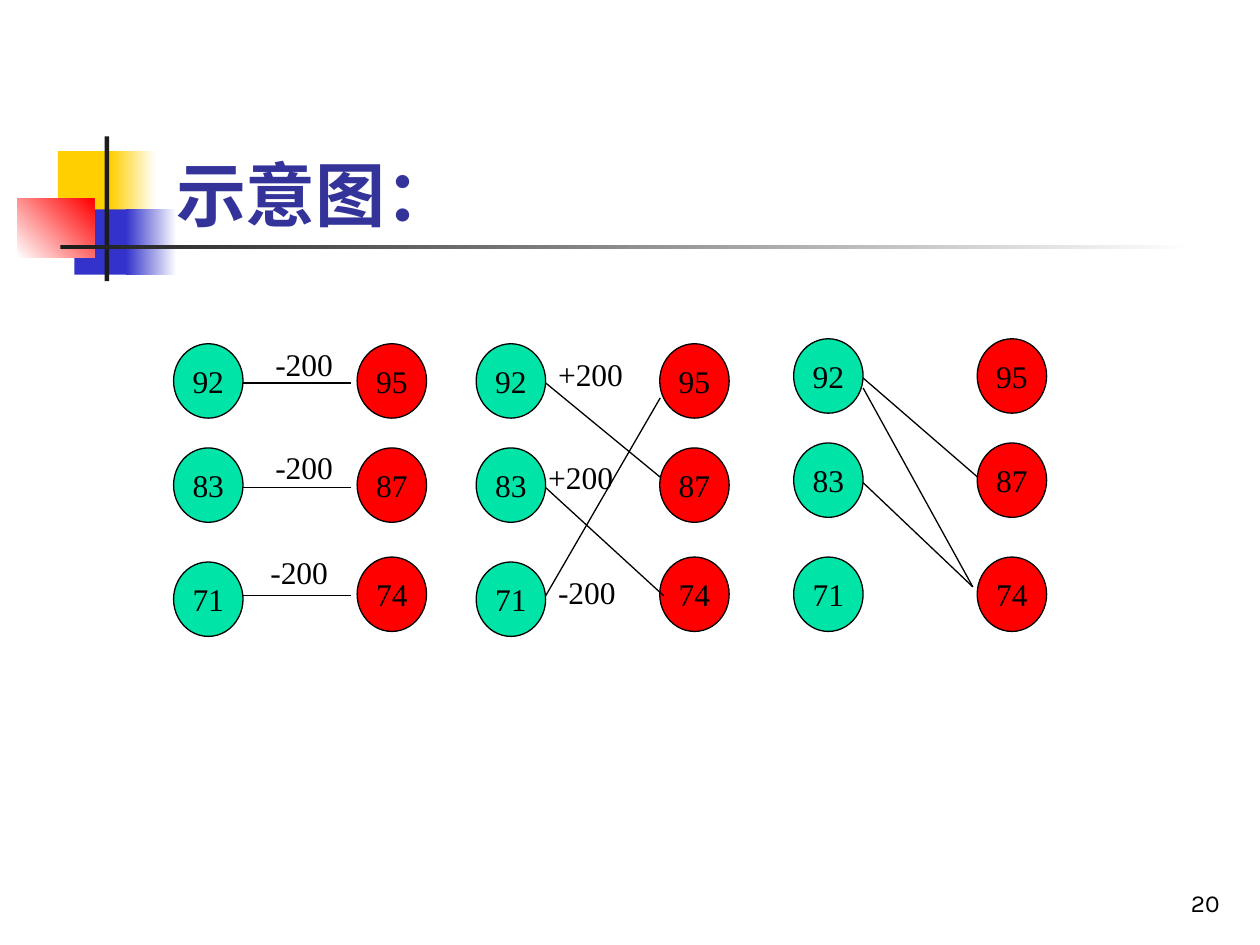
from dataclasses import dataclass

from lxml import etree
from pptx import Presentation
from pptx.dml.color import RGBColor
from pptx.enum.shapes import MSO_CONNECTOR, MSO_SHAPE
from pptx.enum.text import MSO_ANCHOR, PP_ALIGN
from pptx.oxml.ns import qn
from pptx.util import Cm, Pt

RECT, OVAL = MSO_SHAPE.RECTANGLE, MSO_SHAPE.OVAL
STRAIGHT = MSO_CONNECTOR.STRAIGHT
TOP, MIDDLE, BOTTOM = MSO_ANCHOR.TOP, MSO_ANCHOR.MIDDLE, MSO_ANCHOR.BOTTOM
LEFT, CENTER, RIGHT = PP_ALIGN.LEFT, PP_ALIGN.CENTER, PP_ALIGN.RIGHT


@dataclass(frozen=True)
class Theme:
    heading_font: str = "Karla"
    body_font: str = "Times New Roman"
    title_size: int = 40
    body_size: int = 18
    number_size: int = 14
    line_width: float = 0.75
    black: str = "000000"
    white: str = "FFFFFF"
    title: str = "333399"
    yellow: str = "FFCF01"
    blue: str = "3333CC"
    red: str = "FF0000"
    green: str = "00E4A8"
    bar: str = "1C1C1C"


class SlideBuilder:
    def __init__(self, s, theme):
        self.s = s
        self.theme = theme
        self.shapes = s.shapes

    def start_group(self):
        """Send the elements that follow into a new group."""
        self.shapes = self.s.shapes.add_group_shape().shapes

    def shape(self, kind, box, color):
        sp = self.shapes.add_shape(kind, *map(Cm, box))
        sp.shadow.inherit = False
        sp.fill.solid()
        sp.fill.fore_color.rgb = RGBColor.from_string(color)
        sp.line.fill.background()
        return sp

    def gradient(self, box, start, end, angle=0):
        sp = self.shape(RECT, box, start)
        sp.fill.gradient()
        sp.fill.gradient_angle = angle
        for stop, color in zip(sp.fill.gradient_stops, (start, end)):
            stop.color.rgb = RGBColor.from_string(color)

    def set_text(self, sp, text, font, size, color, align, anchor, bold=False):
        tf = sp.text_frame
        tf.vertical_anchor = anchor
        p = tf.paragraphs[0]
        p.text = text
        p.alignment = align
        p.font.name = font
        p.font.size = Pt(size)
        p.font.bold = bold
        p.font.color.rgb = RGBColor.from_string(color)

    def text(self, box, text, font, size, color, align=LEFT, anchor=TOP, bold=False):
        sp = self.shapes.add_textbox(*map(Cm, box))
        sp.text_frame.word_wrap = True
        self.set_text(sp, text, font, size, color, align, anchor, bold)

    def node(self, box, text, color):
        t = self.theme
        sp = self.shape(OVAL, box, color)
        sp.line.color.rgb = RGBColor.from_string(t.black)
        sp.line.width = Pt(t.line_width)
        sp.text_frame.word_wrap = False
        self.set_text(sp, text, t.body_font, t.body_size, t.black, CENTER, MIDDLE)

    def edge(self, x1, y1, x2, y2):
        t = self.theme
        line = self.shapes.add_connector(STRAIGHT, Cm(x1), Cm(y1), Cm(x2), Cm(y2))
        line.line.color.rgb = RGBColor.from_string(t.black)
        line.line.width = Pt(t.line_width)
        etree.SubElement(line._element.spPr, qn("a:effectLst"))

    def label(self, x, y, width, text):
        t = self.theme
        self.text((x, y, width, 1.02), text, t.body_font, t.body_size, t.black)


NODE_W, NODE_H = 1.4, 1.5
COLUMN_GAP = 3.7
ROWS = (0, 2.1, 4.4)
OURS, THEIRS = ("92", "83", "71"), ("95", "87", "74")

# Edges (x1, y1, x2, y2) and labels (x, y, width, text) are relative to the panel's corner.
PANELS = [
    dict(x=16, y=6.83, last_right=4.4,
         edges=[(1.4, 0.79, 3.71, 2.79), (1.4, 2.9, 3.61, 5), (1.4, 0.99, 3.61, 5)],
         labels=[]),
    dict(x=3.5, y=6.93, last_right=4.3,
         edges=[(1.4, y, 3.58, y) for y in (0.79, 2.9, 5.08)],
         labels=[(1.8, -0.1, 1.8, "-200"), (1.8, 1.98, 1.8, "-200"),
                 (1.7, 4.09, 1.8, "-200")]),
    dict(x=9.6, y=6.93, last_right=4.3,
         edges=[(1.4, 0.79, 3.71, 2.69), (1.4, 2.9, 3.78, 5.08), (1.4, 5.08, 3.71, 1.09)],
         labels=[(1.4, 4.5, 1.8, "-200"), (1.2, 2.18, 2.1, "+200"),
                 (1.4, 0.1, 2, "+200")]),
]


def draw_decoration(b):
    t = b.theme
    b.shape(RECT, (1.17, 3.05, 1.22, 1.32), t.yellow)
    b.gradient((2.22, 3.05, 0.92, 1.32), t.yellow, t.white)
    b.shape(RECT, (1.5, 4.22, 1.17, 1.32), t.blue)
    b.gradient((2.54, 4.22, 1.02, 1.32), t.blue, t.white)
    b.gradient((0.35, 4.01, 1.55, 1.18), t.white, t.red, angle=45)
    b.shape(RECT, (2.11, 2.75, 0.09, 2.92), t.bar)
    b.gradient((1.22, 4.94, 22.86, 0.09), t.bar, t.white)


def draw_panel(b, x, y, last_right, edges, labels):
    t = b.theme
    b.start_group()
    columns = ((x, OURS, t.green, ROWS),
               (x + COLUMN_GAP, THEIRS, t.red, (*ROWS[:2], last_right)))
    for left, values, color, rows in columns:
        for value, row in zip(values, rows):
            b.node((left, y + row, NODE_W, NODE_H), value, color)
    for x1, y1, x2, y2 in edges:
        b.edge(x + x1, y + y1, x + x2, y + y2)
    for dx, dy, width, text in labels:
        b.label(x + dx, y + dy, width, text)


def main():
    prs = Presentation()
    prs.slide_width, prs.slide_height = Cm(25.4), Cm(19.05)
    t = Theme()
    b = SlideBuilder(prs.slides.add_slide(prs.slide_layouts[6]), t)
    draw_decoration(b)
    b.text((19.56, 17.35, 5.28, 1.27), "20", t.heading_font, t.number_size, t.black,
           align=RIGHT, anchor=BOTTOM)
    b.text((3.3, 2.13, 15.11, 2.74), "示意图：", t.heading_font, t.title_size, t.title,
           anchor=BOTTOM, bold=True)
    for panel in PANELS:
        draw_panel(b, **panel)
    prs.save("out.pptx")


if __name__ == "__main__":
    main()
